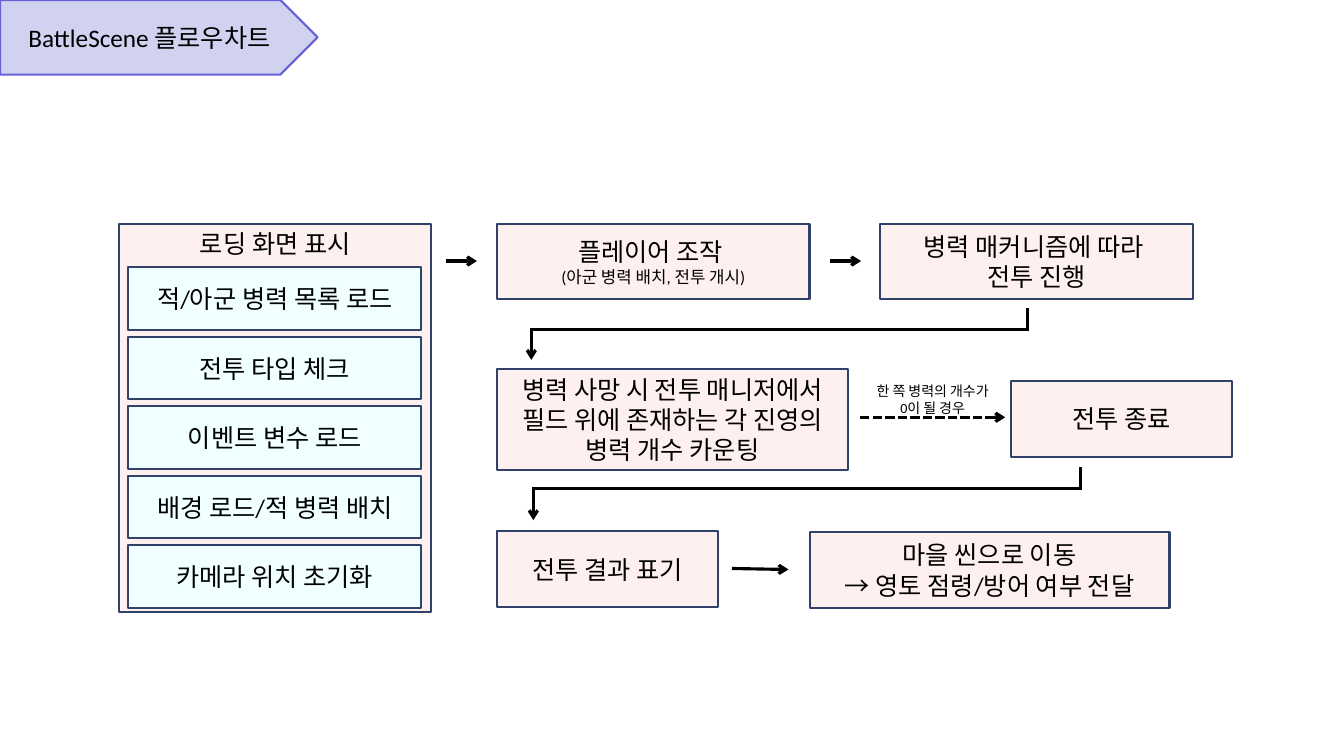
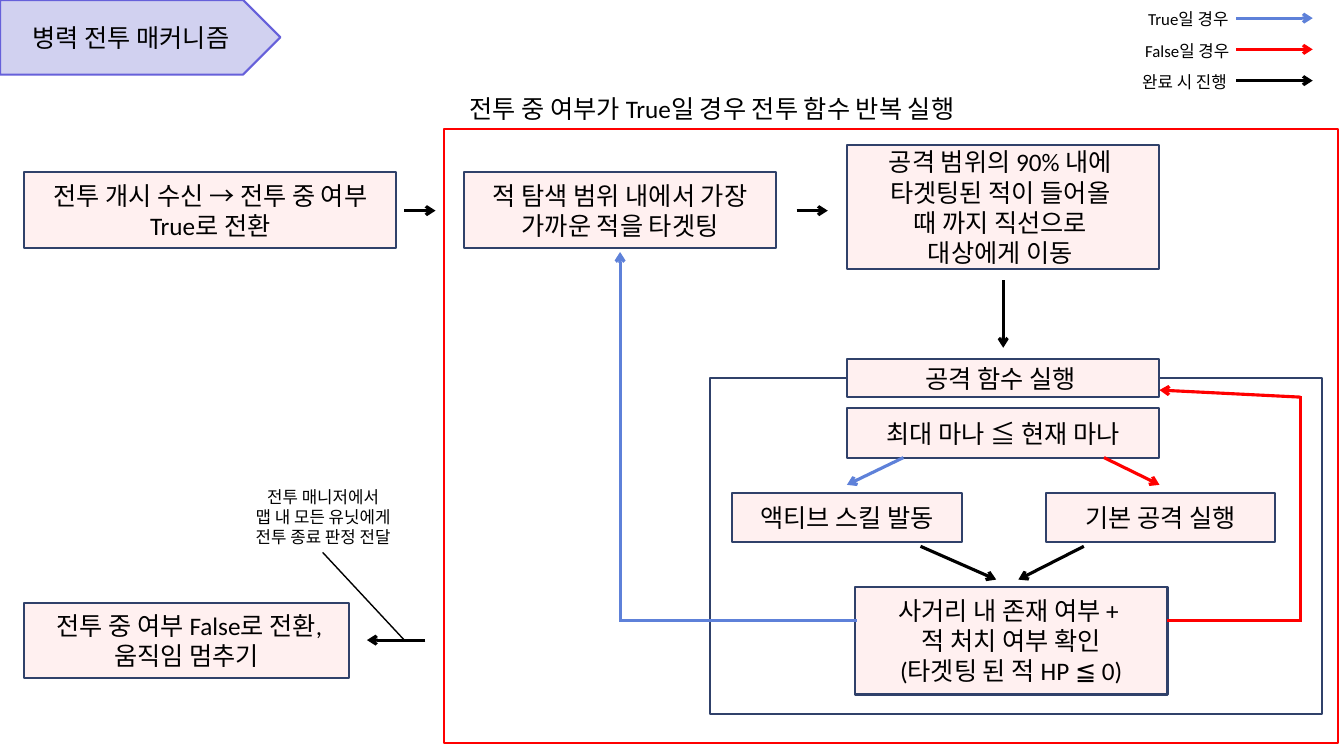
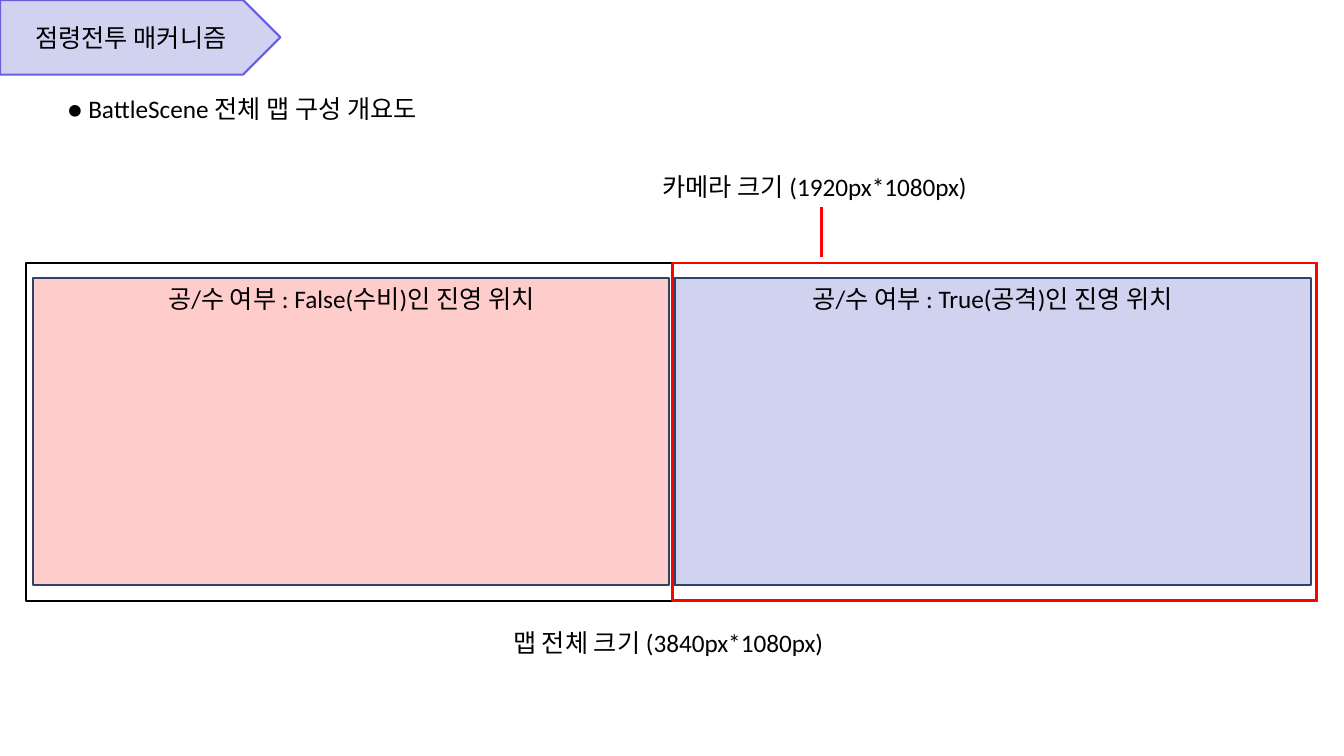
from dataclasses import dataclass
from typing import Any

from pptx import Presentation
from pptx import util as u
from pptx.dml.color import RGBColor
from pptx.enum import dml, shapes, text
from pptx.oxml import parse_xml
from pptx.oxml.ns import nsdecls, qn

PX = 9144  # EMU in one px: 100 px to the inch
BLANK = 6


@dataclass(frozen=True)
class Theme:
    font: str = "Calibri"
    body: int = 18
    small: int = 12
    note: int = 10
    black: str = "000000"
    red: str = "FF0000"
    blue: str = "5E81D9"
    border: str = "30416A"
    tab_line: str = "6660DA"
    lilac: str = "D1D1F0"
    rose: str = "FFF0F0"
    mint: str = "F0FFFF"
    pink: str = "FFCCCC"
    outline: float = 1.5
    frame: float = 2
    arrow: float = 2.25
    thin: float = 1


T = Theme()


def px(n):
    return u.Emu(round(n * PX))


def write(tf, lines, sizes, align):
    """Fill a text frame, one paragraph per line."""
    for i, line in enumerate(lines):
        p = tf.paragraphs[0] if i == 0 else tf.add_paragraph()
        p.text = line
        p.alignment = align
        p.font.name = T.font
        p.font.size = u.Pt(sizes[min(i, len(sizes) - 1)])
        p.font.color.rgb = RGBColor.from_string(T.black)


@dataclass
class Region:
    """A box on a slide; everything drawn in it is placed from its corner."""
    slide: Any
    x: int
    y: int
    w: int
    h: int

    def inner(self, x, y, w, h):
        return Region(self.slide, self.x + x, self.y + y, w, h)

    def bounds(self):
        return [px(n) for n in (self.x, self.y, self.w, self.h)]

    def draw(self, *lines, fill=None, line=T.border, width=T.outline, sizes=(T.body,),
             top=False, kind=shapes.MSO_SHAPE.RECTANGLE):
        """Draw the region itself as a bordered shape."""
        sp = self.slide.shapes.add_shape(kind, *self.bounds())
        sp.shadow.inherit = False
        if fill:
            sp.fill.solid()
            sp.fill.fore_color.rgb = RGBColor.from_string(fill)
        else:
            sp.fill.background()
        sp.line.color.rgb = RGBColor.from_string(line)
        sp.line.width = u.Pt(width)
        tf = sp.text_frame
        tf.word_wrap = True
        tf.vertical_anchor = text.MSO_ANCHOR.TOP if top else text.MSO_ANCHOR.MIDDLE
        write(tf, lines, sizes, text.PP_ALIGN.CENTER)

    def step(self, x, y, w, h, *lines, fill=T.rose, **style):
        self.inner(x, y, w, h).draw(*lines, fill=fill, **style)

    def label(self, x, y, w, h, *lines, size=T.body, wrap=True, align=text.PP_ALIGN.LEFT):
        tb = self.slide.shapes.add_textbox(*self.inner(x, y, w, h).bounds())
        tf = tb.text_frame
        tf.word_wrap = wrap
        tf.auto_size = text.MSO_AUTO_SIZE.SHAPE_TO_FIT_TEXT
        write(tf, lines, (size,), align)

    def route(self, *points, color=T.black, width=T.arrow, head=True, dashed=False):
        """Join the points with lines; the last one carries the arrowhead."""
        legs = list(zip(points, points[1:]))
        for i, ((x1, y1), (x2, y2)) in enumerate(legs, 1):
            c = self.slide.shapes.add_connector(
                shapes.MSO_CONNECTOR.STRAIGHT, px(self.x + x1), px(self.y + y1),
                px(self.x + x2), px(self.y + y2))
            c.line.color.rgb = RGBColor.from_string(color)
            c.line.width = u.Pt(width)
            if dashed:
                c.line.dash_style = dml.MSO_LINE.SQUARE_DOT
            sppr = c.element.spPr
            ln = sppr.find(qn("a:ln"))
            if i < len(legs):
                ln.set("cap", "sq")  # closes the corner
            elif head:
                ln.append(parse_xml(f'<a:tailEnd {nsdecls("a")} type="arrow"/>'))
            sppr.append(parse_xml(f'<a:effectLst {nsdecls("a")}/>'))


def new_page(prs, title, tab_width=278):
    s = prs.slides.add_slide(prs.slide_layouts[BLANK])
    page = Region(s, 0, 0, 1333, 750)
    page.step(0, 0, tab_width, 74, title, fill=T.lilac, line=T.tab_line,
              kind=shapes.MSO_SHAPE.PENTAGON)
    return page


# Scene flowchart
def loading_panel(box):
    box.draw("로딩 화면 표시", fill=T.rose, top=True)
    tasks = ("적/아군 병력 목록 로드", "전투 타입 체크", "이벤트 변수 로드",
             "배경 로드/적 병력 배치", "카메라 위치 초기화")
    for i, task in enumerate(tasks):
        box.step(9, 43 + 69 * i, 291, 62, task, fill=T.mint)


def battle_flow(box):
    # Top row
    box.step(0, 0, 310, 75, "플레이어 조작 ", "(아군 병력 배치, 전투 개시)",
             sizes=(T.body, T.small))
    box.step(380, 0, 310, 75, "병력 매커니즘에 따라 ", "전투 진행")
    for x in (-51, 330):
        box.route((x, 37), (x + 31, 37))
    box.route((526, 85), (526, 105), (34, 105), (34, 135))
    # Middle row
    box.step(0, 144, 348, 100, "병력 사망 시 전투 매니저에서 필드 위에 존재하는 각 진영의 병력 개수 카운팅")
    box.route((360, 192), (504, 192), dashed=True)
    box.step(510, 156, 219, 75, "전투 종료")
    box.label(360, 153, 144, 43, "한 쪽 병력의 개수가", "0이 될 경우",
              size=T.note, align=text.PP_ALIGN.CENTER)
    box.route((579, 243), (579, 263), (36, 263), (36, 294))
    # Bottom row
    box.step(0, 305, 219, 75, "전투 결과 표기")
    box.route((233, 342), (289, 343))
    box.step(310, 306, 357, 75, "마을 씬으로 이동", "→ 영토 점령/방어 여부 전달")


# Unit combat mechanism
def legend(box):
    rows = (("True일 경우", T.blue, 6, 107), ("False일 경우", T.red, 3, 111),
            ("완료 시 진행", T.black, 0, 114))
    for i, (name, color, x, w) in enumerate(rows):
        box.label(x, 31 * i, w, 29, name, size=T.small, wrap=False)
        box.route((103, 14 + 31 * i), (179, 14 + 31 * i), color=color)


def combat_ends(box):
    box.step(0, 0, 369, 75, "전투 개시 수신 → 전투 중 여부", "True로 전환")
    box.route((377, 38), (408, 38))
    box.step(0, 427, 322, 75, " 전투 중 여부 False로 전환,", "움직임 멈추기")
    box.route((398, 464), (340, 464))
    box.label(212, 307, 169, 70, "전투 매니저에서", "맵 내 모든 유닛에게", "전투 종료 판정 전달",
              size=T.small, wrap=False, align=text.PP_ALIGN.CENTER)
    box.route((296, 377), (377, 464), width=T.thin, head=False)


def attack_panel(box):
    box.draw()
    box.step(136, -19, 310, 38, "공격 함수 실행 ")
    box.step(136, 30, 310, 49, "최대 마나 ≦ 현재 마나")
    box.route((192, 79), (136, 106), color=T.blue)
    box.route((391, 79), (446, 106), color=T.red)
    for x, name in ((22, "액티브 스킬 발동"), (333, "기본 공격 실행")):
        box.step(x, 114, 228, 49, name)
    box.route((209, 167), (284, 200))
    box.route((371, 167), (306, 200))
    box.step(144, 207, 310, 107, "사거리 내 존재 여부 + ", "적 처치 여부 확인", "(타겟팅 된 적 HP ≦ 0)")
    box.route((455, 241), (586, 241), (586, 19), (446, 12), color=T.red)


def combat_loop(box):
    box.label(16, -40, 539, 40, "전투 중 여부가 True일 경우 전투 함수 반복 실행")
    box.step(20, 43, 310, 75, "적 탐색 범위 내에서 가장 가까운 적을 타겟팅")
    box.route((350, 81), (381, 81))
    box.step(400, 16, 310, 123, "공격 범위의 90% 내에 ", "타겟팅된 적이 들어올 ",
             "때 까지 직선으로 ", "대상에게 이동 ")
    box.route((555, 150), (555, 217))
    attack_panel(box.inner(264, 247, 607, 333))
    box.route((408, 488), (175, 488), (175, 122), color=T.blue)
    box.draw(line=T.red)


# Map overview
def battle_map(box):
    box.draw(line=T.black)
    sides = ((7, "공/수 여부 : False(수비)인 진영 위치", T.pink),
             (643, "공/수 여부 : True(공격)인 진영 위치", T.lilac))
    for x, name, color in sides:
        box.step(x, 15, 631, 304, name, fill=color, top=True)
    box.step(641, 0, 639, 335, fill=None, line=T.red, width=T.frame)
    box.route((789, -6), (789, -56), color=T.red, width=T.frame, head=False)
    box.label(621, -96, 336, 40, "카메라 크기 (1920px*1080px)", wrap=False)
    box.label(473, 356, 336, 40, "맵 전체 크기 (3840px*1080px)")


def main():
    prs = Presentation()
    prs.slide_width, prs.slide_height = u.Inches(13.33), u.Inches(7.5)

    page = new_page(prs, "BattleScene 플로우차트", tab_width=315)
    loading_panel(page.inner(118, 222, 310, 385))
    battle_flow(page.inner(493, 222, 729, 381))

    page = new_page(prs, "병력 전투 매커니즘")
    legend(page.inner(1123, 4, 179, 90))
    combat_ends(page.inner(24, 171, 408, 502))
    combat_loop(page.inner(440, 128, 887, 609))

    page = new_page(prs, "점령전투 매커니즘")
    page.label(57, 88, 1182, 40, "● BattleScene 전체 맵 구성 개요도")
    battle_map(page.inner(26, 261, 1280, 335))

    prs.save("out.pptx")


if __name__ == "__main__":
    main()
